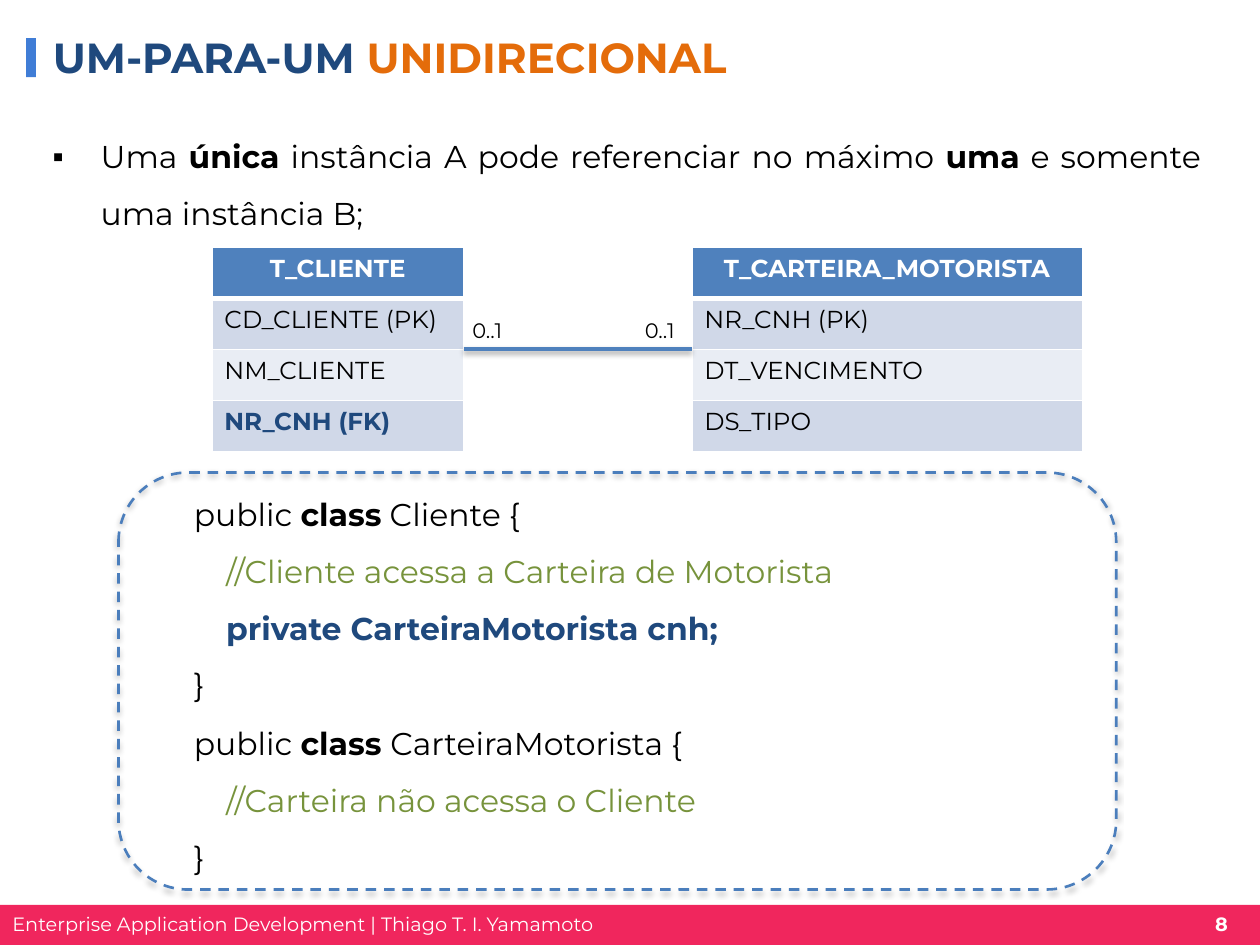
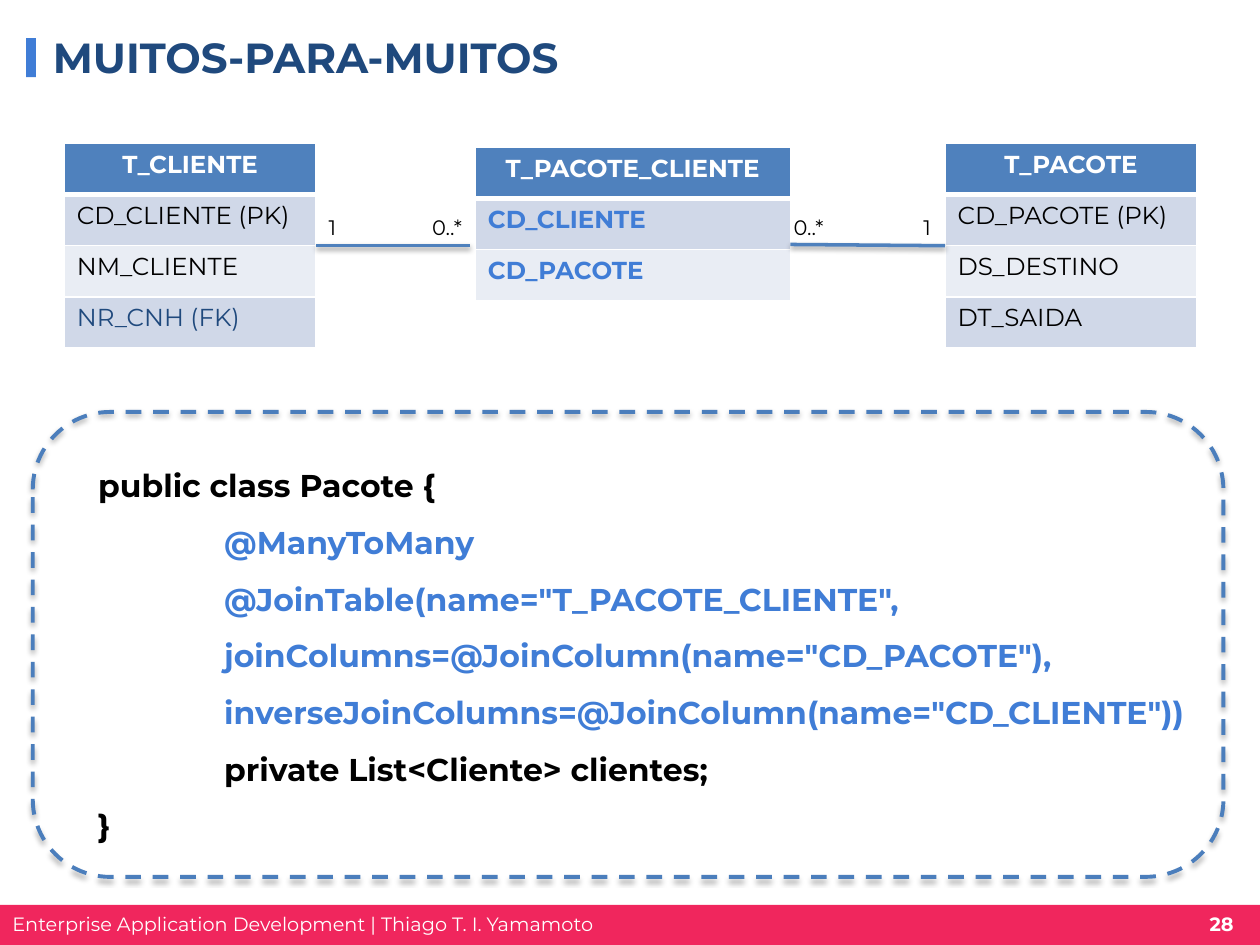
from dataclasses import dataclass
from typing import Optional, Sequence

from lxml.etree import SubElement
from pptx import Presentation
from pptx.dml.color import RGBColor
from pptx.enum.dml import MSO_LINE_DASH_STYLE as Dash
from pptx.enum.shapes import MSO_CONNECTOR as Connector, MSO_SHAPE as Preset
from pptx.enum.text import MSO_ANCHOR as Anchor, MSO_AUTO_SIZE as AutoSize, PP_ALIGN as Align
from pptx.oxml.ns import qn
from pptx.util import Pt


@dataclass(frozen=True)
class Theme:
    font: str = "Montserrat"
    black: str = "000000"
    white: str = "FFFFFF"
    navy: str = "1F497D"
    orange: str = "E46C0A"
    green: str = "77933C"
    accent: str = "407DD6"
    footer: str = "F0265D"
    header: str = "4F81BD"
    panel_line: str = "4B7EBC"
    stripes: tuple = ("D0D8E8", "E9EDF4")
    title_size: float = 24
    body_size: float = 18
    table_size: float = 14
    label_size: float = 12
    footer_size: float = 11
    line_spacing: float = 1.5
    row_height: float = 29.2


THEME = Theme()
FOOTER_TEXT = "Enterprise Application Development | Thiago T. I. Yamamoto"


@dataclass(frozen=True)
class Span:
    text: str
    color: str = THEME.black
    bold: bool = False


@dataclass(frozen=True)
class Area:
    left: float
    top: float
    width: float
    height: float

    def lengths(self) -> list:
        return [Pt(value) for value in (self.left, self.top, self.width, self.height)]


@dataclass(frozen=True)
class CodeLine:
    spans: Sequence[Span]
    indent: float = 0


@dataclass(frozen=True)
class Entity:
    name: str
    left: float
    top: float
    width: float
    fields: Sequence[Span]


@dataclass(frozen=True)
class Label:
    text: str
    left: float
    width: float


@dataclass(frozen=True)
class Relation:
    start: tuple
    end: tuple
    label_top: float
    labels: Sequence[Label]


# Text and effects

def write(para, spans: Sequence[Span], size: float, align=Align.LEFT) -> None:
    para.alignment = align
    for span in spans:
        run = para.add_run()
        run.text = span.text
        run.font.name = THEME.font
        run.font.size = Pt(size)
        run.font.bold = span.bold
        run.font.color.rgb = RGBColor.from_string(span.color)


def add_text(page, area: Area, spans: Sequence[Span], size: float, align=Align.LEFT, wrap=False):
    box = page.shapes.add_textbox(*area.lengths())
    box.text_frame.word_wrap = wrap
    para = box.text_frame.paragraphs[0]
    write(para, spans, size, align)
    return para


def add_shadow(shape, opacity: int, distance: float) -> None:
    properties = shape._element.spPr
    effects = properties.find(qn("a:effectLst"))
    if effects is None:
        effects = SubElement(properties, qn("a:effectLst"))
    shadow = SubElement(effects, qn("a:outerShdw"), blurRad=str(Pt(3.1)),
                        dist=str(Pt(distance)), dir="5400000", rotWithShape="0")
    color = SubElement(shadow, qn("a:srgbClr"), val=THEME.black)
    SubElement(color, qn("a:alpha"), val=str(opacity * 1000))


# Shared page parts

def add_band(page, area: Area, color: str) -> None:
    band = page.shapes.add_shape(Preset.RECTANGLE, *area.lengths())
    band.shadow.inherit = False
    band.fill.solid()
    band.fill.fore_color.rgb = RGBColor.from_string(color)
    band.line.fill.background()


def add_page(deck, number: int, title_spans: Sequence[Span]):
    page = deck.slides.add_slide(deck.slide_layouts[5])
    add_band(page, Area(0, 517, 720, 23), THEME.footer)
    add_band(page, Area(15, 21.8, 5.6, 22.3), THEME.accent)
    add_text(page, Area(0, 517.7, 350.6, 21), [Span(FOOTER_TEXT, THEME.white)], THEME.footer_size)
    add_text(page, Area(683.3, 517.7, 29.5, 21), [Span(str(number), THEME.white, True)],
             THEME.footer_size, Align.CENTER)

    title = page.shapes.title
    title.left, title.top, title.width, title.height = Area(23, 16.6, 576, 31).lengths()
    frame = title.text_frame
    frame.auto_size = AutoSize.NONE
    frame.vertical_anchor = Anchor.MIDDLE
    write(frame.paragraphs[0], title_spans, THEME.title_size)
    return page


# Entity diagram

def set_borders(cell, top: float, bottom: float) -> None:
    properties = cell._tc.get_or_add_tcPr()
    for side, width in (("L", 1), ("R", 1), ("T", top), ("B", bottom)):
        line = SubElement(properties, qn(f"a:ln{side}"), w=str(Pt(width)))
        SubElement(SubElement(line, qn("a:solidFill")), qn("a:srgbClr"), val=THEME.white)


def add_entity(page, entity: Entity) -> None:
    rows = [Span(entity.name, THEME.white, True), *entity.fields]
    area = Area(entity.left, entity.top, entity.width, THEME.row_height * len(rows))
    table = page.shapes.add_table(len(rows), 1, *area.lengths()).table
    for index, span in enumerate(rows):
        table.rows[index].height = Pt(THEME.row_height)
        cell = table.cell(index, 0)
        is_header = index == 0
        set_borders(cell, top=3 if index == 1 else 1, bottom=3 if is_header else 1)
        cell.fill.solid()
        color = THEME.header if is_header else THEME.stripes[(index - 1) % 2]
        cell.fill.fore_color.rgb = RGBColor.from_string(color)
        write(cell.text_frame.paragraphs[0], [span], THEME.table_size,
              Align.CENTER if is_header else Align.LEFT)


def add_relation(page, relation: Relation) -> None:
    ends = [Pt(value) for value in (*relation.start, *relation.end)]
    line = page.shapes.add_connector(Connector.STRAIGHT, *ends)
    line.line.color.rgb = RGBColor.from_string(THEME.header)
    line.line.width = Pt(2)
    add_shadow(line, 38, 1.6)
    for label in relation.labels:
        add_text(page, Area(label.left, relation.label_top, label.width, 21.6),
                 [Span(label.text)], THEME.label_size)


def add_diagram(page, entities: Sequence[Entity], relations: Sequence[Relation]) -> None:
    for entity in entities:
        add_entity(page, entity)
    for relation in relations:
        add_relation(page, relation)


# Code listing and bullet

def add_code(page, area: Area, lines: Sequence[CodeLine]) -> None:
    box = page.shapes.add_textbox(*area.lengths())
    frame = box.text_frame
    frame.word_wrap = False
    for index, line in enumerate(lines):
        para = frame.add_paragraph() if index else frame.paragraphs[0]
        para.line_spacing = THEME.line_spacing
        write(para, line.spans, THEME.body_size)
        if line.indent:
            para._p.get_or_add_pPr().set("marL", str(Pt(line.indent)))


def add_code_panel(page, area: Area, line_width: float) -> None:
    panel = page.shapes.add_shape(Preset.ROUNDED_RECTANGLE, *area.lengths())
    panel.shadow.inherit = False
    panel.fill.background()
    panel.line.color.rgb = RGBColor.from_string(THEME.panel_line)
    panel.line.width = Pt(line_width)
    panel.line.dash_style = Dash.DASH
    add_shadow(panel, 35, 1.8)


def add_bullet(page, area: Area, spans: Sequence[Span]) -> None:
    para = add_text(page, area, spans, THEME.body_size, Align.JUSTIFY, wrap=True)
    para.line_spacing = THEME.line_spacing
    properties = para._p.get_or_add_pPr()
    properties.set("marL", str(Pt(27.4)))
    properties.set("indent", str(Pt(-27.4)))
    SubElement(properties, qn("a:buFont"), typeface="Arial")
    SubElement(properties, qn("a:buChar"), char="▪")


# Pages

def build_one_to_one(deck) -> None:
    page = add_page(deck, 8, [Span("UM-PARA-UM ", THEME.navy, True),
                              Span("UNIDIRECIONAL", THEME.orange, True)])
    add_bullet(page, Area(23, 64.1, 670.3, 67), [
        Span("Uma "), Span("única", bold=True),
        Span(" instância A pode referenciar no máximo "), Span("uma", bold=True),
        Span(" e somente uma instância B;")])
    add_diagram(page, [
        Entity("T_CLIENTE", 121, 141.2, 144, [
            Span("CD_CLIENTE (PK)"), Span("NM_CLIENTE"), Span("NR_CNH (FK)", THEME.navy, True)]),
        Entity("T_CARTEIRA_MOTORISTA", 395.3, 141.2, 223.2, [
            Span("NR_CNH (PK)"), Span("DT_VENCIMENTO"), Span("DS_TIPO")]),
    ], [
        Relation((265, 199.5), (395.3, 199.5), 177.8,
                 [Label("0..1", 262.8, 32.4), Label("0..1", 361.4, 32.4)]),
    ])

    indent = 18.5
    add_code(page, Area(103.7, 268.6, 396, 134.6), [
        CodeLine([Span("public "), Span("class", bold=True), Span(" Cliente {")]),
        CodeLine([Span("//Cliente acessa a Carteira de Motorista", THEME.green)], indent),
        CodeLine([Span("private CarteiraMotorista cnh;", THEME.navy, True)], indent),
        CodeLine([Span("}")])])
    add_code(page, Area(103.7, 399.6, 316.8, 101.5), [
        CodeLine([Span("public "), Span("class ", bold=True), Span("CarteiraMotorista {")]),
        CodeLine([Span("//Carteira não acessa o Cliente", THEME.green)], indent),
        CodeLine([Span("}")])])
    add_code_panel(page, Area(67.7, 270, 570.2, 238.3), 1.5)


def build_many_to_many(deck) -> None:
    page = add_page(deck, 28, [Span("MUITOS-PARA-MUITOS", THEME.navy, True)])
    add_diagram(page, [
        Entity("T_CLIENTE", 36.7, 82, 144, [
            Span("CD_CLIENTE (PK)"), Span("NM_CLIENTE"), Span("NR_CNH (FK)", THEME.navy)]),
        Entity("T_PACOTE_CLIENTE", 271.6, 84.2, 180, [
            Span(name, THEME.accent, True) for name in ("CD_CLIENTE", "CD_PACOTE")]),
        Entity("T_PACOTE", 540, 82, 144, [
            Span("CD_PACOTE (PK)"), Span("DS_DESTINO"), Span("DT_SAIDA")]),
    ], [
        Relation((180.7, 140.4), (268.6, 140.4), 118.8,
                 [Label("1", 180.7, 18.7), Label("0..*", 239.8, 34.6)]),
        Relation((451.6, 139.7), (540, 140.4), 118.8,
                 [Label("0..*", 446.4, 34.6), Label("1", 520.6, 18.7)]),
    ])

    indent = 72
    annotations = ["@ManyToMany",
                   '@JoinTable(name="T_PACOTE_CLIENTE",',
                   'joinColumns=@JoinColumn(name="CD_PACOTE"),',
                   'inverseJoinColumns=@JoinColumn(name="CD_CLIENTE"))']
    add_code(page, Area(49, 252, 650, 237), [
        CodeLine([Span("public class Pacote {", bold=True)]),
        *[CodeLine([Span(text, THEME.accent, True)], indent) for text in annotations],
        CodeLine([Span("private List<Cliente> clientes;", bold=True)], indent),
        CodeLine([Span("}", bold=True)])])
    add_code_panel(page, Area(18.7, 235.4, 680.4, 265.7), 2.25)


def main() -> None:
    deck = Presentation()
    deck.slide_width, deck.slide_height = Pt(720), Pt(540)
    build_one_to_one(deck)
    build_many_to_many(deck)
    deck.save("out.pptx")


if __name__ == "__main__":
    main()
